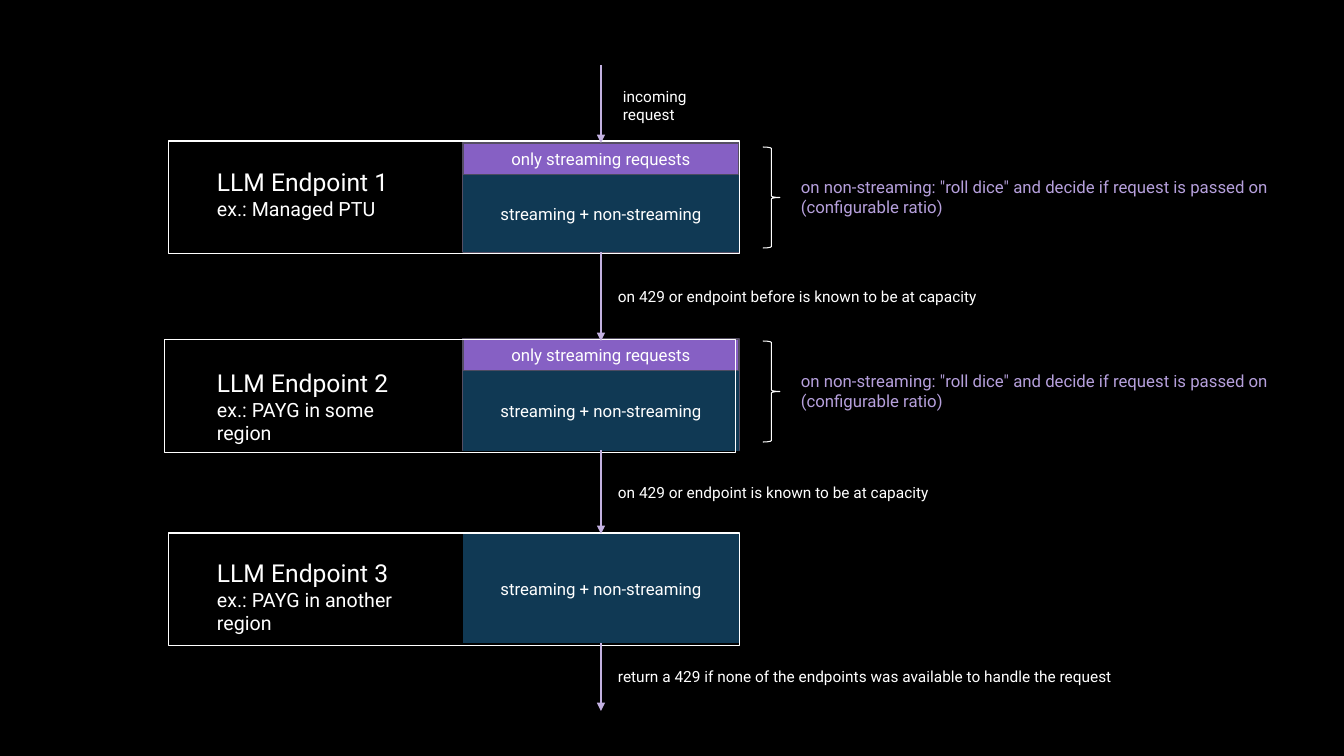
from lxml.etree import SubElement
from pptx import Presentation
from pptx.dml.color import RGBColor
from pptx.enum.shapes import MSO_CONNECTOR, MSO_SHAPE
from pptx.enum.text import MSO_ANCHOR, PP_ALIGN
from pptx.oxml.ns import qn
from pptx.util import Pt

PX = 914400 / 100.8
BLACK = RGBColor(0x00, 0x00, 0x00)
WHITE = RGBColor(0xFF, 0xFF, 0xFF)
NAVY = RGBColor(0x10, 0x39, 0x54)
PURPLE = RGBColor(0x86, 0x60, 0xC4)
EDGE = RGBColor(0x55, 0x4E, 0x63)
LILAC = RGBColor(0xB6, 0xA0, 0xDC)
ARROW = RGBColor(0xC3, 0xB1, 0xE1)

STREAM_H = 32
LINE_X = 601
BLOCK_X, BLOCK_W = 463, 276


def px(*values):
    return [round(v * PX) for v in values]


def write(tf, lines, color):
    tf.word_wrap = True
    for i, (text, size) in enumerate(lines):
        p = tf.paragraphs[0] if i == 0 else tf.add_paragraph()
        p.text = text
        p.font.name = "Roboto"
        p.font.size = Pt(size)
        p.font.color.rgb = color


def add_text(s, box, lines, color=WHITE):
    write(s.shapes.add_textbox(*px(*box)).text_frame, lines, color)


def add_box(s, kind, box, fill=None, line=None, width=0.75, text=None):
    sp = s.shapes.add_shape(kind, *px(*box))
    sp.shadow.inherit = False
    if fill is None:
        sp.fill.background()
    else:
        sp.fill.solid()
        sp.fill.fore_color.rgb = fill
    if line is None:
        sp.line.fill.background()
    else:
        sp.line.color.rgb = line
        sp.line.width = Pt(width)
    if text:
        tf = sp.text_frame
        write(tf, [(text, 12)], WHITE)
        tf.vertical_anchor = MSO_ANCHOR.MIDDLE
        tf.paragraphs[0].alignment = PP_ALIGN.CENTER


def add_traffic(s, x, y, w, h, streaming):
    mixed_y = y
    if streaming:
        add_box(s, MSO_SHAPE.RECTANGLE, (x, y, w, h), BLACK, EDGE, 0.85)
        add_box(s, MSO_SHAPE.RECTANGLE, (x, y, w, STREAM_H), PURPLE, EDGE, 0.85,
                "only streaming requests")
        mixed_y += STREAM_H
    add_box(s, MSO_SHAPE.RECTANGLE, (x, mixed_y, w, y + h - mixed_y), NAVY,
            text="streaming + non-streaming")


def add_endpoint(s, x, y, w, h, name, example, title_box, block, streaming):
    block_y, block_h = block
    add_traffic(s, BLOCK_X, block_y, BLOCK_W, block_h, streaming)
    add_text(s, title_box, [(name, 17.6), (example, 14)])
    add_box(s, MSO_SHAPE.RECTANGLE, (x, y, w, h), line=WHITE)


def add_dice_note(s, x, y, w, h):
    add_box(s, MSO_SHAPE.RIGHT_BRACE, (x, y, 17, h), line=WHITE)
    add_text(s, (x + 28, y + 25, w - 28, 50), [
        ('on non-streaming: "roll dice" and decide if request is passed on', 12),
        ("(configurable ratio)", 12),
    ], LILAC)


def add_step(s, top, bottom, label, label_box):
    line = s.shapes.add_connector(
        MSO_CONNECTOR.STRAIGHT, *px(LINE_X, top, LINE_X, bottom))
    line.line.color.rgb = ARROW
    line.line.width = Pt(0.85)
    SubElement(line.line._get_or_add_ln(), qn("a:tailEnd"), type="triangle")
    SubElement(line._element.spPr, qn("a:effectLst"))
    add_text(s, label_box, [(label, 11)])


def build_routing_slide(prs):
    s = prs.slides.add_slide(prs.slide_layouts[6])
    s.background.fill.solid()
    s.background.fill.fore_color.rgb = BLACK

    endpoints = [
        (169, 141, "ex.: Managed PTU", (207, 162, 205, 64), (143, 109), True),
        (165, 340, "ex.: PAYG in some region", (207, 363, 234, 64), (339, 112), True),
        (169, 533, "ex.: PAYG in another region", (207, 553, 251, 64), (534, 109), False),
    ]
    for i, (x, y, example, title_box, block, streaming) in enumerate(endpoints, 1):
        add_endpoint(s, x, y, 571, 113, f"LLM Endpoint {i}", example,
                     title_box, block, streaming)

    for y in (147, 341):
        add_dice_note(s, 763, y, 522, 101)

    steps = [
        (65, 143, "incoming request", (613, 82, 137, 29)),
        (252, 341, "on 429 or endpoint before is known to be at capacity",
         (608, 282, 385, 29)),
        (450, 534, "on 429 or endpoint is known to be at capacity",
         (608, 478, 336, 29)),
        (643, 711, "return a 429 if none of the endpoints was available to handle the request",
         (608, 662, 520, 29)),
    ]
    for step in steps:
        add_step(s, *step)


def main():
    prs = Presentation()
    prs.slide_width, prs.slide_height = px(1344, 756)
    build_routing_slide(prs)
    prs.save("out.pptx")


if __name__ == "__main__":
    main()
